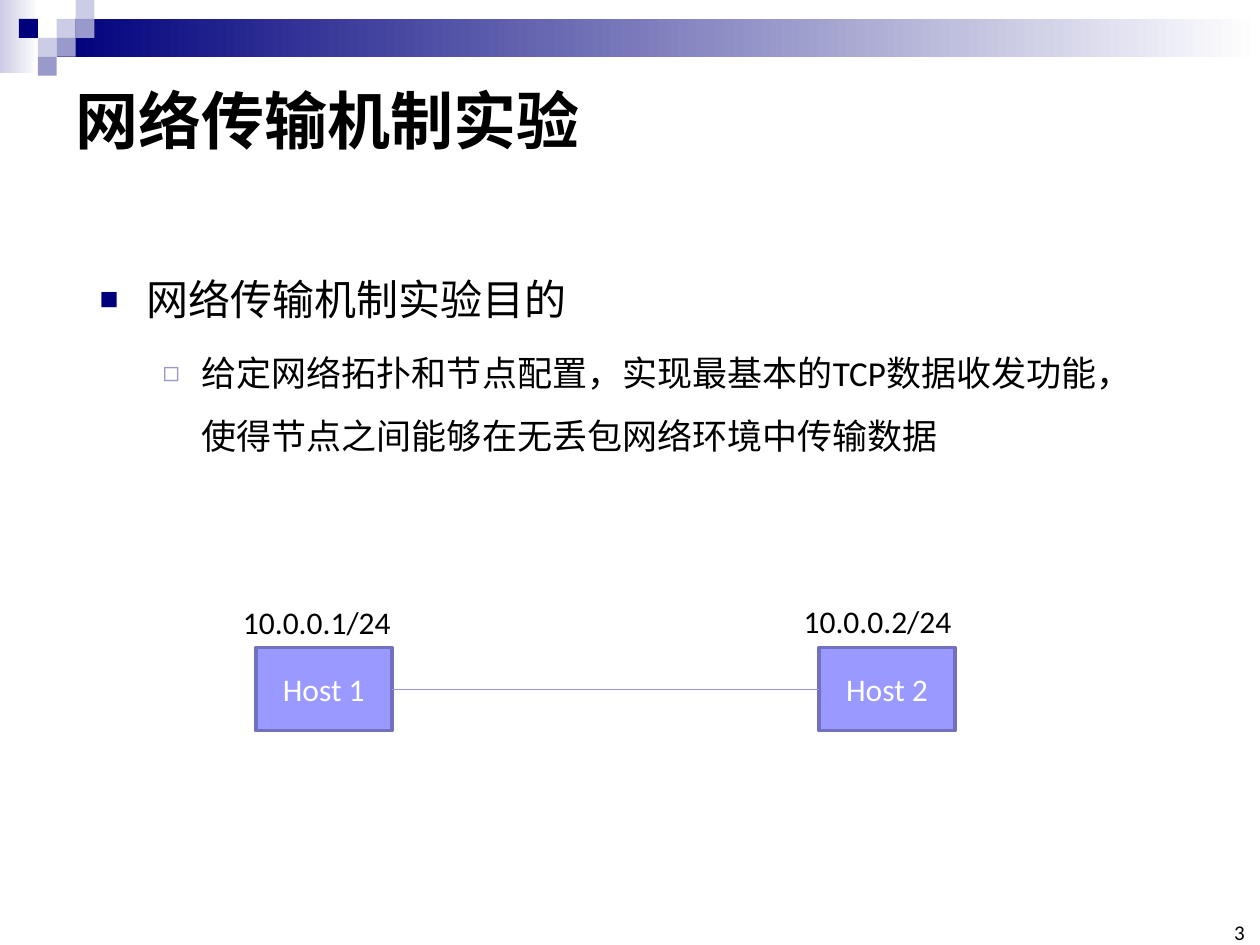
from lxml import etree
from pptx import Presentation
from pptx.dml.color import RGBColor
from pptx.enum.shapes import MSO_CONNECTOR, MSO_SHAPE
from pptx.enum.text import MSO_ANCHOR, MSO_AUTO_SIZE, PP_ALIGN
from pptx.oxml.ns import qn
from pptx.util import Inches, Pt

RECTANGLE = MSO_SHAPE.RECTANGLE
STRAIGHT = MSO_CONNECTOR.STRAIGHT
TOP, MIDDLE, BOTTOM = MSO_ANCHOR.TOP, MSO_ANCHOR.MIDDLE, MSO_ANCHOR.BOTTOM
LEFT, CENTER, RIGHT = PP_ALIGN.LEFT, PP_ALIGN.CENTER, PP_ALIGN.RIGHT
NO_FIT = MSO_AUTO_SIZE.NONE

COLORS = {
    "navy": "00007D",
    "slate": "9999CC",
    "mist": "CCCCE6",
    "white": "FFFFFF",
    "black": "000000",
    "host": "9999FF",
    "host_edge": "7171BD",
    "link": "9393FC",
}
FONT = "Calibri"
TILE = 0.15


def rgb(name):
    return RGBColor.from_string(COLORS[name])


def place(shape, left, top, width, height):
    shape.left, shape.top = Inches(left), Inches(top)
    shape.width, shape.height = Inches(width), Inches(height)


class SlideBuilder:
    def __init__(self, page):
        self.page = page

    def style(self, para, size, color="black", bold=False, align=LEFT):
        para.alignment = align
        font = para.font
        font.name, font.size, font.bold = FONT, Pt(size), bold
        font.color.rgb = rgb(color)

    def rectangle(self, left, top, width, height, *colors):
        box = self.page.shapes.add_shape(
            RECTANGLE, Inches(left), Inches(top), Inches(width), Inches(height))
        box.shadow.inherit = False
        box.line.fill.background()
        if len(colors) == 1:
            box.fill.solid()
            box.fill.fore_color.rgb = rgb(colors[0])
        else:
            box.fill.gradient()
            box.fill.gradient_angle = 0
            for stop, color, position in zip(box.fill.gradient_stops, colors, (0, 1)):
                stop.color.rgb = rgb(color)
                stop.position = position
        return box

    def title(self, text):
        box = self.page.shapes.title
        place(box, 0.5, 0.5, 9, 0.89)
        box.text_frame.text = text
        box.text_frame.vertical_anchor = MIDDLE
        box.text_frame.auto_size = NO_FIT
        self.style(box.text_frame.paragraphs[0], 36, bold=True)

    def bullet(self, para, char, color, percent, margin, hanging):
        props = para._p.get_or_add_pPr()
        props.set("marL", str(Inches(margin)))
        props.set("indent", str(-Inches(hanging)))
        fill = etree.SubElement(props, qn("a:buClr"))
        etree.SubElement(fill, qn("a:srgbClr"), val=COLORS[color])
        etree.SubElement(props, qn("a:buSzPct"), val=str(percent * 1000))
        etree.SubElement(props, qn("a:buChar"), char=char)

    def body(self, items):
        box = self.page.placeholders[1]
        place(box, 0.69, 1.92, 8.62, 1.94)
        frame = box.text_frame
        frame.auto_size = NO_FIT
        frame.vertical_anchor = TOP
        frame.text = "\n".join(text for text, *_ in items)
        for level, (para, (_, size, *bullet)) in enumerate(zip(frame.paragraphs, items)):
            para.level = level
            para.line_spacing = 1.5
            self.bullet(para, *bullet)
            self.style(para, size)

    def host(self, left, top, name):
        box = self.rectangle(left, top, 1.08, 0.66, "host")
        box.line.color.rgb = rgb("host_edge")
        box.line.width = Pt(2)
        box.text_frame.text = name
        box.text_frame.vertical_anchor = MIDDLE
        self.style(box.text_frame.paragraphs[0], 18, "white", align=CENTER)
        return box

    def label(self, left, top, width, height, text, size=18, align=LEFT):
        box = self.page.shapes.add_textbox(
            Inches(left), Inches(top), Inches(width), Inches(height))
        box.text_frame.text = text
        box.text_frame.word_wrap = False
        self.style(box.text_frame.paragraphs[0], size, align=align)
        return box

    def page_number(self, text):
        frame = self.label(9.65, 7.33, 0.23, 0.17, text, 12, RIGHT).text_frame
        frame.word_wrap = True
        frame.vertical_anchor = BOTTOM
        frame.margin_left = frame.margin_right = 0
        frame.margin_top = frame.margin_bottom = 0

    def link(self, start, end):
        line = self.page.shapes.add_connector(STRAIGHT, 0, 0, 0, 0)
        line.begin_connect(start, 3)
        line.end_connect(end, 1)
        line.line.color.rgb = rgb("link")
        line.line.width = Pt(0.75)
        etree.SubElement(line._element.spPr, qn("a:effectLst"))


def main():
    deck = Presentation()
    deck.slide_width, deck.slide_height = Inches(10), Inches(7.5)
    page = deck.slides.add_slide(deck.slide_layouts[1])
    builder = SlideBuilder(page)

    builder.rectangle(0, 0, 0.31, 0.58, "mist", "white")
    builder.rectangle(0.45, 0.15, 9.55, 0.3, "navy", "white")
    tiles = [(3, 1, "mist"), (4, 0, "mist"), (4, 1, "slate"), (2, 2, "mist"),
             (1, 1, "navy"), (3, 2, "slate"), (2, 3, "slate")]
    for column, row, color in tiles:
        builder.rectangle(column * TILE, row * TILE, TILE, TILE, color)

    builder.title("网络传输机制实验")
    builder.body([
        ("网络传输机制实验目的", 24, "■", "navy", 75, 0.37, 0.37),
        ("给定网络拓扑和节点配置，实现最基本的TCP数据收发功能，"
         "使得节点之间能够在无丢包网络环境中传输数据",
         20, "◻", "slate", 80, 0.81, 0.31),
    ])

    first = builder.host(2.03, 5.14, "Host 1")
    second = builder.host(6.5, 5.14, "Host 2")
    builder.label(1.83, 4.74, 1.39, 0.4, "10.0.0.1/24")
    builder.label(6.28, 4.73, 1.39, 0.4, "10.0.0.2/24")
    builder.link(first, second)
    builder.page_number("3")

    deck.save("out.pptx")


if __name__ == "__main__":
    main()
